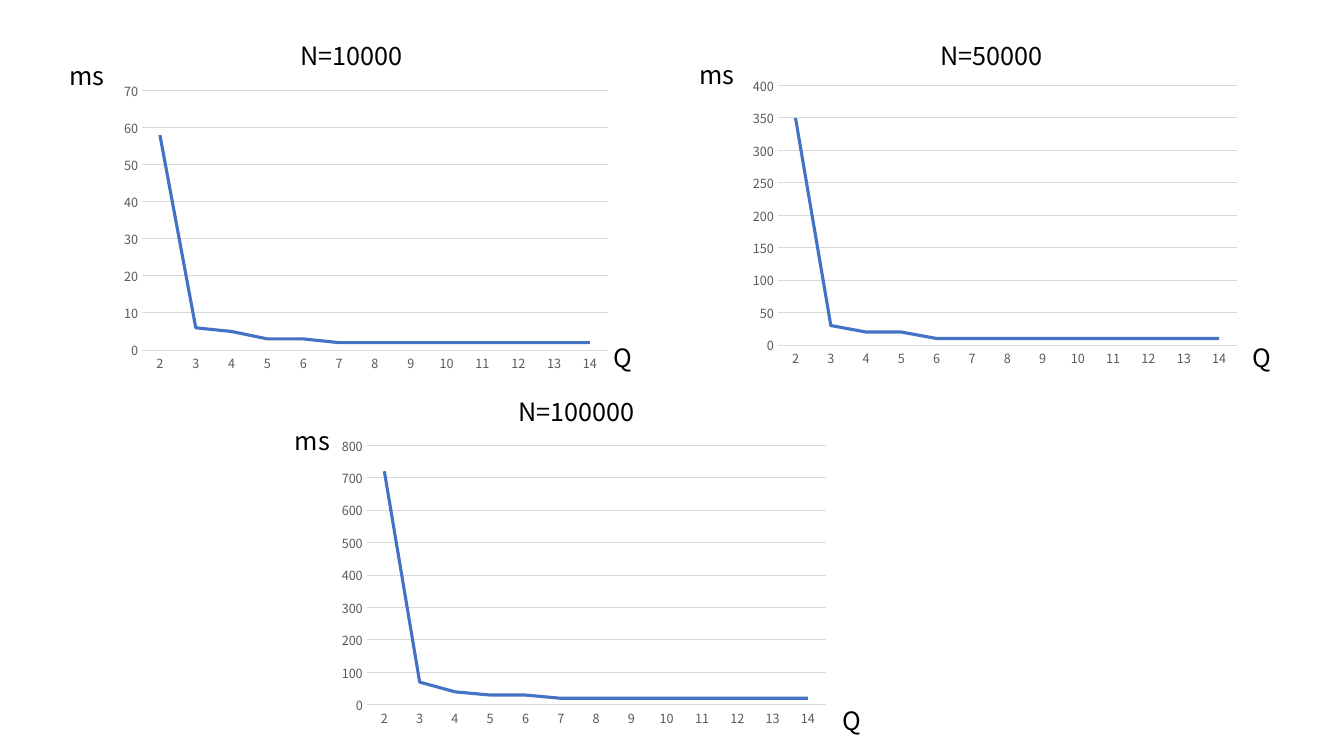
"""Build a slide of three line charts of time in ms against Q."""
from dataclasses import dataclass

import pptx
import pptx.chart.axis
import pptx.chart.data
import pptx.dml.color
import pptx.enum.chart
import pptx.enum.text
import pptx.slide
import pptx.util

Pt = pptx.util.Pt
RGBColor = pptx.dml.color.RGBColor

FONT = "Noto Sans CJK SC"
BLACK = RGBColor(0x00, 0x00, 0x00)
GRAY = RGBColor(0x59, 0x59, 0x59)
LIGHT_GRAY = RGBColor(0xD9, 0xD9, 0xD9)
BLUE = RGBColor(0x44, 0x72, 0xC4)

Q_VALUES = range(2, 15)
CHART_W, CHART_H = 360, 216
TITLE_W, Q_W, MS_W = 148.3, 75.6, 51.8
LABEL_H = 28.8

Point = tuple[float, float]


@dataclass(frozen=True)
class Panel:
    title: str
    times: tuple[int, ...]
    axis_max: int
    axis_step: int
    chart_at: Point
    title_at: Point
    q_at: Point
    ms_at: Point


PANELS = (
    Panel("N=10000", (58, 6, 5, 3, 3) + (2,) * 8, 70, 10,
          (81.4, 54), (177.1, 25.2), (406.8, 241.2), (36, 39.6)),
    Panel("N=50000", (350, 30, 20, 20) + (10,) * 9, 400, 50,
          (530.6, 50.4), (634.3, 25.2), (863.3, 241.2), (486, 38.9)),
    Panel("N=100000", (720, 70, 40, 30, 30) + (20,) * 8, 800, 100,
          (236.9, 307.4), (337.7, 279.4), (571, 500.4), (197.3, 300.2)),
)


def add_label(s: pptx.slide.Slide, text: str, *, at: Point, width: float,
              size: float = 18, color: RGBColor = BLACK) -> None:
    sp = s.shapes.add_textbox(Pt(at[0]), Pt(at[1]), Pt(width), Pt(LABEL_H))
    tf = sp.text_frame
    tf.word_wrap = True
    tf.auto_size = pptx.enum.text.MSO_AUTO_SIZE.SHAPE_TO_FIT_TEXT
    p = tf.paragraphs[0]
    p.alignment = pptx.enum.text.PP_ALIGN.CENTER
    r = p.add_run()
    r.text = text
    r.font.name = FONT
    r.font.size = Pt(size)
    r.font.color.rgb = color


def format_axis(axis: pptx.chart.axis._BaseAxis) -> None:
    axis.major_tick_mark = pptx.enum.chart.XL_TICK_MARK.NONE
    axis.minor_tick_mark = pptx.enum.chart.XL_TICK_MARK.NONE
    font = axis.tick_labels.font
    font.name = FONT
    font.size = Pt(9)
    font.color.rgb = GRAY


def add_line_chart(s: pptx.slide.Slide, panel: Panel) -> None:
    data = pptx.chart.data.CategoryChartData()
    data.categories = [str(q) for q in Q_VALUES]
    data.add_series("Series 1", panel.times)
    left, top = panel.chart_at
    chart = s.shapes.add_chart(pptx.enum.chart.XL_CHART_TYPE.LINE, Pt(left), Pt(top),
                               Pt(CHART_W), Pt(CHART_H), data).chart
    chart.has_title = False
    chart.has_legend = False
    chart.font.name = FONT
    chart.font.size = Pt(10)
    chart.font.color.rgb = BLACK

    q_axis, ms_axis = chart.category_axis, chart.value_axis
    format_axis(q_axis)
    format_axis(ms_axis)
    ms_axis.minimum_scale = 0
    ms_axis.maximum_scale = panel.axis_max
    ms_axis.major_unit = panel.axis_step
    ms_axis.format.line.fill.background()
    for line in (q_axis.format.line, ms_axis.major_gridlines.format.line):
        line.color.rgb = LIGHT_GRAY
        line.width = Pt(0.75)

    plot = chart.plots[0]
    plot.vary_by_categories = False
    series = plot.series[0]
    series.smooth = False
    series.format.line.color.rgb = BLUE
    series.format.line.width = Pt(2.25)


def main() -> None:
    prs = pptx.Presentation()
    prs.slide_width, prs.slide_height = Pt(960), Pt(540)
    s = prs.slides.add_slide(prs.slide_layouts.get_by_name("Blank"))
    for panel in PANELS:
        add_line_chart(s, panel)
        add_label(s, panel.title, at=panel.title_at, width=TITLE_W)
        add_label(s, "Q", at=panel.q_at, width=Q_W)
        add_label(s, "ms", at=panel.ms_at, width=MS_W)
    prs.save("out.pptx")


if __name__ == "__main__":
    main()
